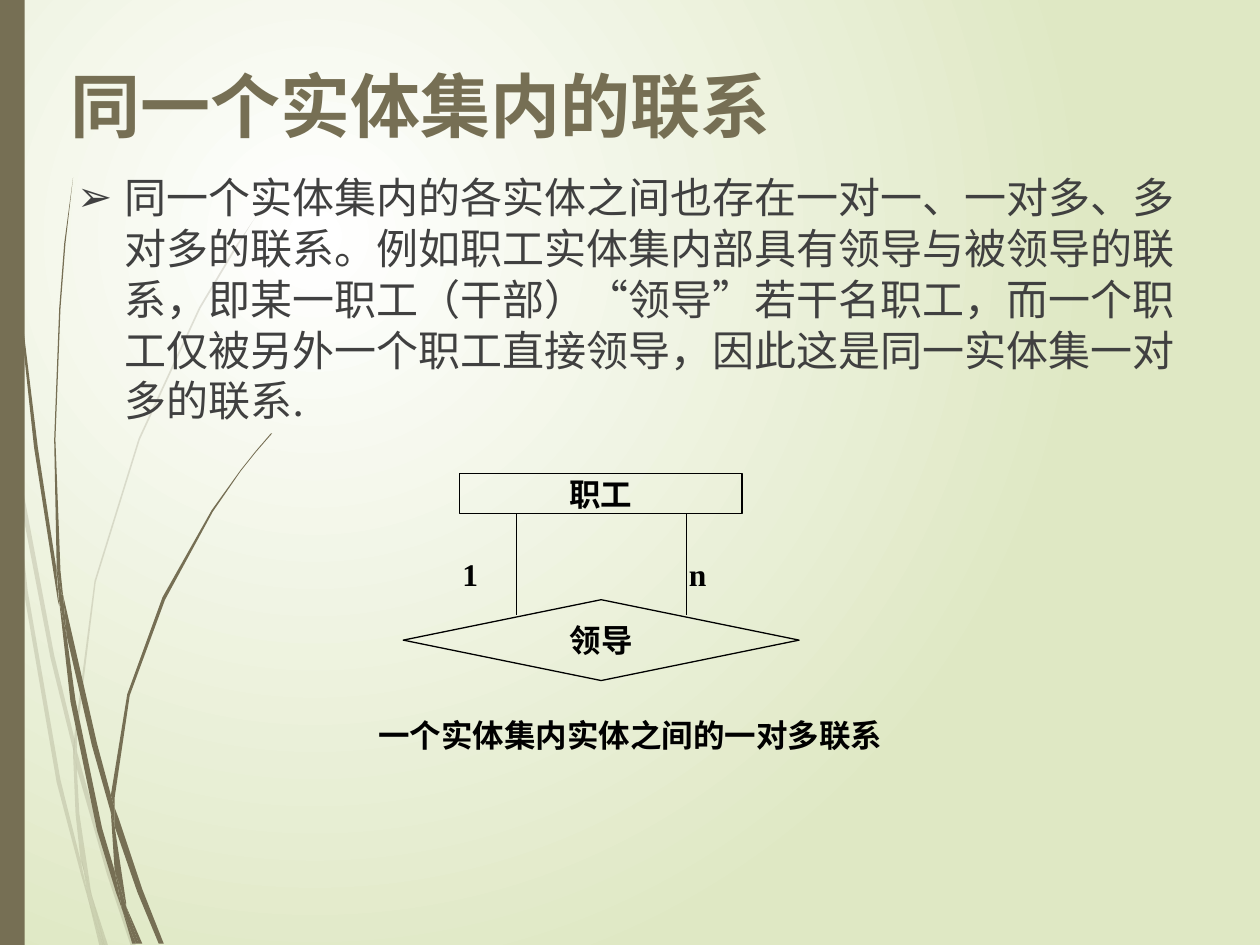
"""Build a slide about relations within one entity set."""
from dataclasses import dataclass

import pptx
import pptx.dml.color
import pptx.enum.shapes
import pptx.enum.text
import pptx.oxml.ns
import pptx.util
from lxml import etree

Cm, Pt = pptx.util.Cm, pptx.util.Pt
Kind = pptx.enum.shapes.MSO_SHAPE
Align = pptx.enum.text.PP_ALIGN
Anchor = pptx.enum.text.MSO_ANCHOR
qn = pptx.oxml.ns.qn

OLIVE, BLACK, GREY = "766F54", "000000", "404040"
SANS, SERIF = "League Spartan", "Times New Roman"

PALE = [
    "8 350 6 322 0 282 0 299 7 344",
    "40 522 59 599 59 586 43 520 10 345 12 376",
    "64 607 61 596 61 610 85 694 104 751 108 751 88 692",
    "83 751 86 751 73 711",
    "64 683 48 619 22 469 12 376 8 350 19 470 45 621 64 693 70 714 69 707",
    "58 599 60 646 64 683 67 692 73 711 72 706 63 646 61 610 61 608",
    "61 584 76 462 111 349 159 245 187 198 201 175 217 154 217 153 201 175 186 197 "
    "158 244 110 348 75 461 59 584 59 586 61 596",
    "70 714 79 751 82 751",
    "61 608 61 610 61 596 59 586 58 599",
    "67 692 65 683 69 707 70 714 82 751 83 751 73 711",
]
DARK = [
    "5 110 14 233 27 355 46 477 47 481 45 457 45 453 30 355 15 232 6 109 4 48 3 0 2 0 3 48",
    "73 592 88 645 88 633 88 631 77 590 50 472 53 505",
    "94 649 91 641 91 656 109 708 126 749 130 749 113 706",
    "91 691 81 657 60 556 53 505 47 477 56 557 77 659 92 708 97 722 96 717",
    "50 472 48 453 44 349 48 245 52 193 58 141 51 193 47 245 43 349 45 449 49 472",
    "110 749 113 749 100 719",
    "47 477 53 505 50 472 49 472 45 449 45 453",
    "91 633 103 552 131 476 169 406 191 374 203 359 216 344 215 344 203 358 191 373 "
    "168 405 129 474 101 551 88 631 91 641",
    "97 722 105 749 108 749",
    "88 645 91 691 96 706 100 719 100 716 91 656 90 651",
    "88 645 90 651 91 656 91 641 88 631 88 633",
    "96 706 91 691 96 717 97 722 108 749 110 749 100 719",
]


@dataclass
class Box:
    text: str
    left: float
    top: float
    wide: float
    high: float
    kind: Kind | None = None
    align: Align = Align.CENTER
    pad: float = 0.05


BOXES = [
    Box("n", 13.84, 11.18, 1.17, 0.81, align=Align.JUSTIFY),
    Box("职工", 9.27, 9.55, 5.69, 0.81, Kind.RECTANGLE),
    Box("领导", 8.13, 12.09, 7.98, 1.63, Kind.DIAMOND),
    Box("1", 9.27, 11.18, 1.17, 0.81, align=Align.JUSTIFY),
    Box("一个实体集内实体之间的一对多联系", 7.01, 14.43, 11.4, 1.02, pad=0),
]
BODY = ("同一个实体集内的各实体之间也存在一对一、一对多、多对多的联系。"
        "例如职工实体集内部具有领导与被领导的联系，即某一职工（干部）“领导”若干名职工，"
        "而一个职工仅被另外一个职工直接领导，因此这是同一实体集一对多的联系.")


def hue(code: str) -> pptx.dml.color.RGBColor:
    return pptx.dml.color.RGBColor.from_string(code)


def write(para, text: str, size: float, face: str, code: str, bold: bool) -> None:
    run = para.add_run()
    run.text = text
    font = run.font
    font.size, font.name, font.bold = Pt(size), face, bold
    font.color.rgb = hue(code)


def paint(shape, code: str) -> None:
    shape.fill.solid()
    shape.fill.fore_color.rgb = hue(code)
    shape.line.fill.background()
    shape.shadow.inherit = False


def draw_stalk(slide, data: str, alpha: int) -> None:
    nums = [int(n) for n in data.split()]
    dots = list(zip(nums[::2], nums[1::2]))
    pen = slide.shapes.build_freeform(*dots[0], scale=Cm(0.0254))
    pen.add_line_segments(dots[1:], close=True)
    shape = pen.convert_to_shape()
    paint(shape, OLIVE)
    if alpha < 100:
        tint = shape.element.spPr.find(qn("a:solidFill"))[0]
        etree.SubElement(tint, qn("a:alpha"), val=str(alpha * 1000))


def draw_box(slide, box: Box) -> None:
    area = [Cm(n) for n in (box.left, box.top, box.wide, box.high)]
    if box.kind is None:
        shape = slide.shapes.add_textbox(*area)
    else:
        shape = slide.shapes.add_shape(box.kind, *area)
        shape.fill.background()
        shape.line.color.rgb = hue(BLACK)
        shape.line.width = Pt(0.75)
        shape.shadow.inherit = False
    frame = shape.text_frame
    frame.word_wrap = True
    frame.margin_left = frame.margin_right = Cm(box.pad)
    frame.margin_top = frame.margin_bottom = 0
    frame.vertical_anchor = Anchor.MIDDLE if box.kind else Anchor.TOP
    frame.paragraphs[0].alignment = box.align
    write(frame.paragraphs[0], box.text, 18, SERIF, BLACK, True)


def draw_line(slide, x: float, top: float, end: float) -> None:
    line = slide.shapes.add_connector(pptx.enum.shapes.MSO_CONNECTOR.STRAIGHT,
                                      Cm(x), Cm(top), Cm(x), Cm(end))
    line.line.color.rgb = hue(BLACK)
    line.line.width = Pt(0.75)
    etree.SubElement(line.element.spPr, qn("a:effectLst"))


def place(slide, shape, top: float, high: float):
    shape.left, shape.top, shape.width, shape.height = Cm(1.3), Cm(top), Cm(22.81), Cm(high)
    slide.shapes.element.append(shape.element)
    frame = shape.text_frame
    frame.word_wrap = True
    frame.auto_size = pptx.enum.text.MSO_AUTO_SIZE.NONE
    frame.vertical_anchor = Anchor.TOP
    para = frame.paragraphs[0]
    para.alignment = Align.LEFT
    para.space_before = Pt(0)
    return frame, para


def fill_back(slide) -> None:
    fill = slide.background.fill
    fill.gradient()
    for stop, code in zip(fill.gradient_stops, ("FFFFFF", "DFE8C4")):
        stop.color.rgb = hue(code)
    grad = slide.element.find(".//" + qn("a:gradFill"))
    grad.remove(grad.find(qn("a:lin")))
    ring = etree.SubElement(grad, qn("a:path"), path="circle")
    etree.SubElement(ring, qn("a:fillToRect"), l="50000", t="50000", r="100000", b="100000")


def main() -> None:
    deck = pptx.Presentation()
    deck.slide_width, deck.slide_height = Cm(25.4), Cm(19.05)
    slide = deck.slides.add_slide(deck.slide_layouts[1])
    fill_back(slide)
    for group, alpha in ((PALE, 20), (DARK, 100)):
        for data in group:
            draw_stalk(slide, data, alpha)
    paint(slide.shapes.add_shape(Kind.RECTANGLE, 0, 0, Cm(0.5), Cm(19.05)), OLIVE)

    _, para = place(slide, slide.placeholders[1], 3.33, 14.2)
    para.line_spacing = Pt(29)
    props = para._p.get_or_add_pPr()
    props.set("marL", str(Cm(0.95)))
    props.set("indent", str(-Cm(0.95)))
    etree.SubElement(props, qn("a:buChar"), char="➢")
    write(para, BODY, 24, SANS, GREY, False)

    frame, para = place(slide, slide.shapes.title, 1.12, 2.29)
    frame.margin_left = frame.margin_right = frame.margin_top = frame.margin_bottom = Cm(0.13)
    write(para, "同一个实体集内的联系", 40, SANS, OLIVE, True)

    for box in BOXES:
        draw_box(slide, box)
    for x in (10.41, 13.84):
        draw_line(slide, x, 10.36, 12.4)
    deck.save("out.pptx")


if __name__ == "__main__":
    main()
